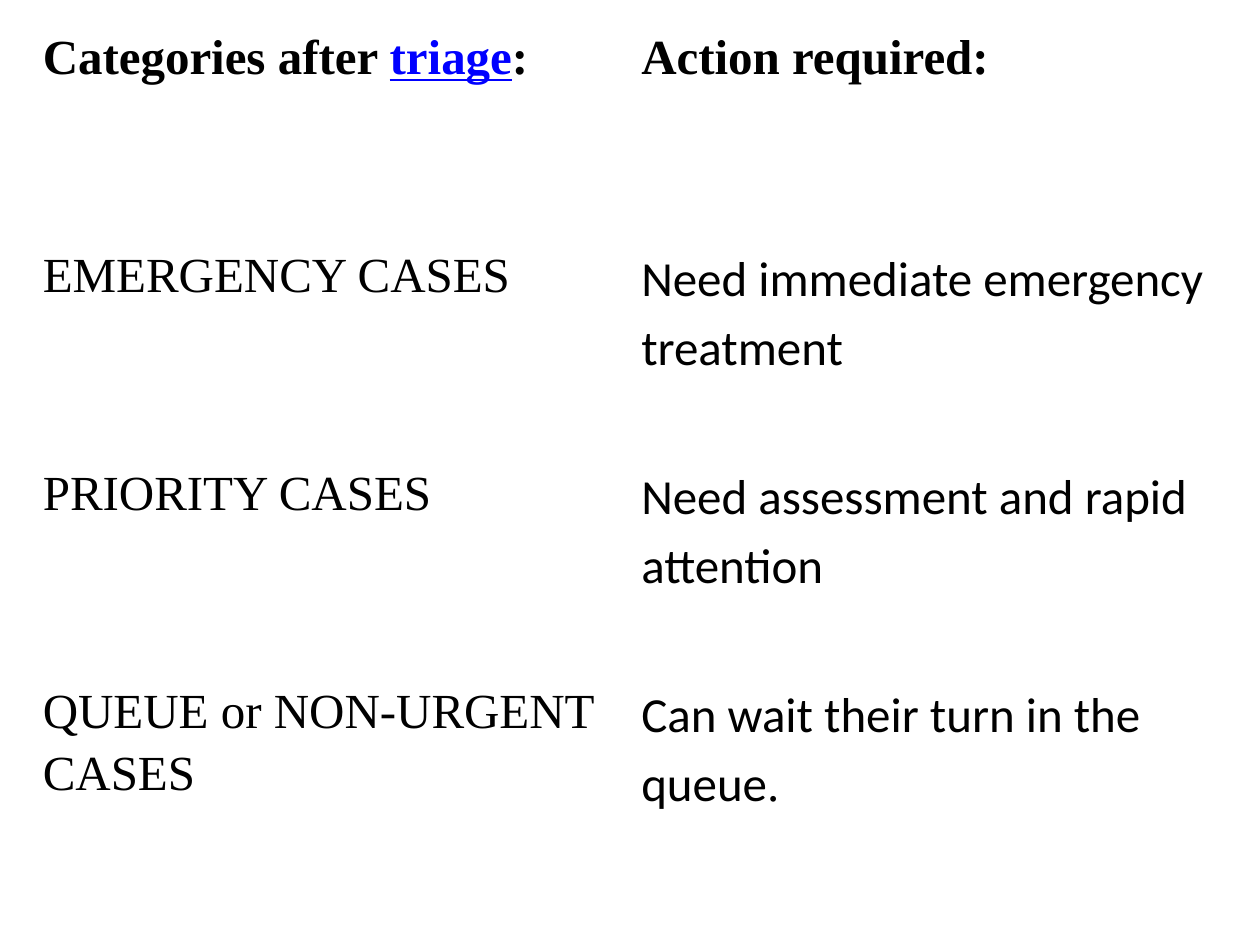
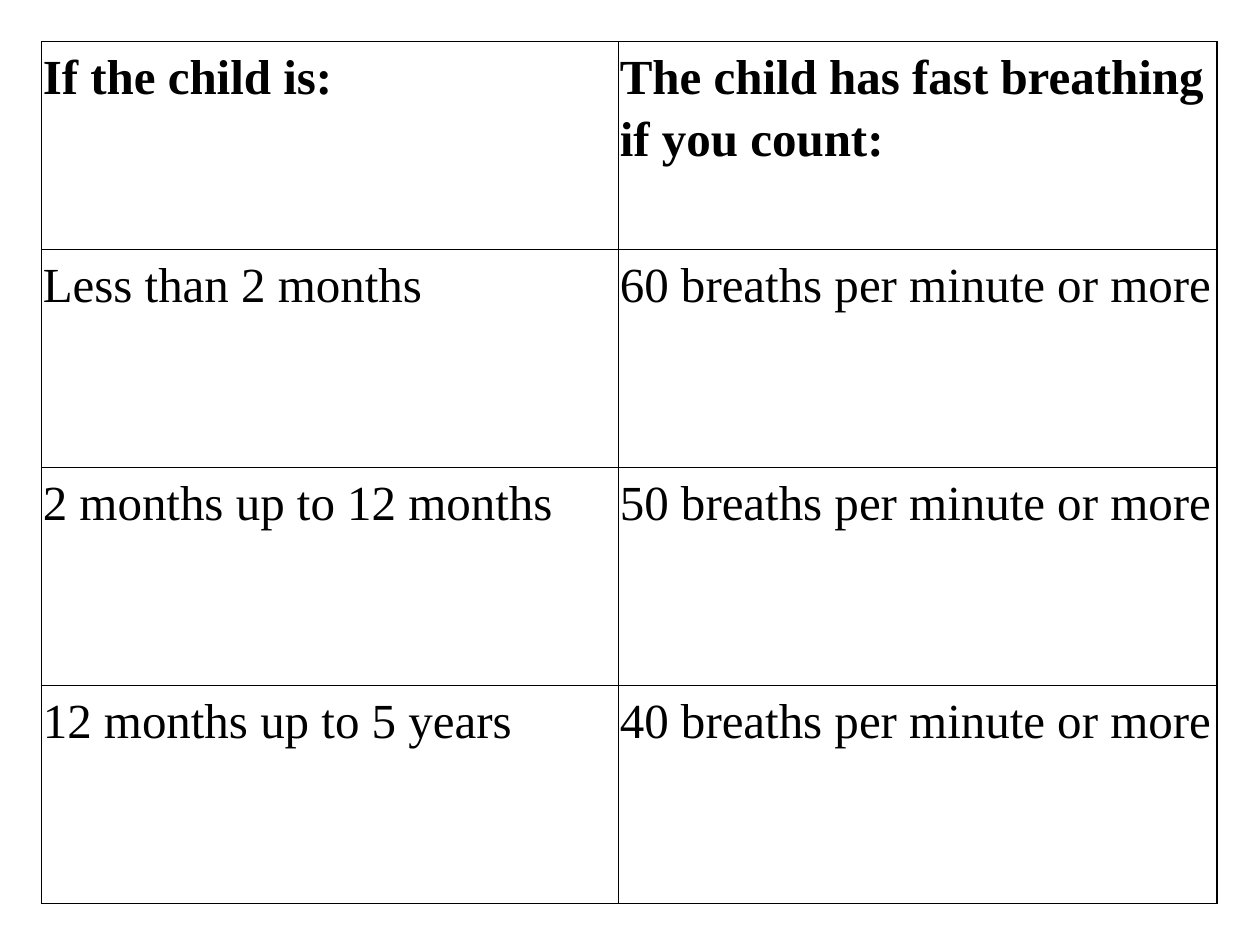
from dataclasses import dataclass

from lxml import etree
from pptx import Presentation
from pptx import util as u
from pptx.dml.color import RGBColor
from pptx.oxml import ns


@dataclass(frozen=True)
class Theme:
    ink: str = "000000"
    link: str = "0000FF"
    paper: str = "FFFFFF"
    serif: str = "Times New Roman"
    sans: str = "Calibri"
    size: int = 28
    line_spacing: float = 1.15
    margin: float = 0.01
    border: float = 1


@dataclass(frozen=True)
class Span:
    text: str
    sans: bool = False
    link: bool = False


class SlideBuilder:
    BLANK_LAYOUT = 6

    def __init__(self, deck, theme):
        self.deck = deck
        self.theme = theme
        self.page = None

    def new_page(self):
        self.page = self.deck.slides.add_slide(self.deck.slide_layouts[self.BLANK_LAYOUT])

    def table(self, left, top, widths, heights, rows, bordered=False):
        """Place a table whose first row is bold; each cell is a list of spans."""
        frame = self.page.shapes.add_table(
            len(rows), len(widths), u.Inches(left), u.Inches(top),
            u.Inches(sum(widths)), u.Inches(sum(heights)))
        table = frame.table
        table.first_row = table.horz_banding = False
        for column, width in zip(table.columns, widths):
            column.width = u.Inches(width)
        for row, height in zip(table.rows, heights):
            row.height = u.Inches(height)
        for row_index, row in enumerate(rows):
            for column_index, spans in enumerate(row):
                cell = table.cell(row_index, column_index)
                self.borders(cell, bordered)
                self.cell_text(cell, spans, bold=row_index == 0)

    def borders(self, cell, visible):
        properties = cell._tc.get_or_add_tcPr()
        for side in ("lnL", "lnR", "lnT", "lnB"):
            line = etree.SubElement(properties, ns.qn(f"a:{side}"))
            if visible:
                line.set("w", str(u.Pt(self.theme.border)))
                fill = etree.SubElement(line, ns.qn("a:solidFill"))
                etree.SubElement(fill, ns.qn("a:srgbClr"), val=self.theme.ink)
            else:
                etree.SubElement(line, ns.qn("a:noFill"))

    def cell_text(self, cell, spans, bold):
        theme = self.theme
        cell.fill.solid()
        cell.fill.fore_color.rgb = RGBColor.from_string(theme.paper)
        margin = u.Inches(theme.margin)
        cell.margin_left = cell.margin_right = margin
        cell.margin_top = cell.margin_bottom = margin
        para = cell.text_frame.paragraphs[0]
        para.line_spacing = theme.line_spacing
        for span in spans:
            run = para.add_run()
            run.text = span.text
            font = run.font
            font.name = theme.sans if span.sans else theme.serif
            font.size = u.Pt(theme.size)
            font.bold = bold
            font.underline = span.link
            font.color.rgb = RGBColor.from_string(theme.link if span.link else theme.ink)


def triage_page(builder):
    builder.new_page()
    rows = [
        [[Span("Categories after "), Span("triage", link=True), Span(":")],
         [Span("Action required:")]],
        [[Span("EMERGENCY CASES")],
         [Span("Need immediate emergency treatment", sans=True)]],
        [[Span("PRIORITY CASES")],
         [Span("Need assessment and rapid attention", sans=True)]],
        [[Span("QUEUE or NON-URGENT CASES")],
         [Span("Can wait their turn in the queue", sans=True), Span(".")]],
    ]
    builder.table(0.33, 0.17, [4.75] * 2, [1.73] * 4, rows)


def breathing_page(builder):
    builder.new_page()
    limits = [("Less than 2 months", 60), ("2 months up to 12 months", 50),
              ("12 months up to 5 years", 40)]
    rows = [[[Span("If the child is:")],
             [Span("The child has fast breathing if you count:")]]]
    rows += [[[Span(age)], [Span(f"{count} breaths per minute or more")]]
             for age, count in limits]
    builder.table(0.33, 0.33, [4.58, 4.75], [1.65] + [1.73] * 3, rows, bordered=True)


def main():
    deck = Presentation()
    deck.slide_width, deck.slide_height = u.Inches(10), u.Inches(7.5)
    builder = SlideBuilder(deck, Theme())
    triage_page(builder)
    breathing_page(builder)
    deck.save("out.pptx")


if __name__ == "__main__":
    main()
